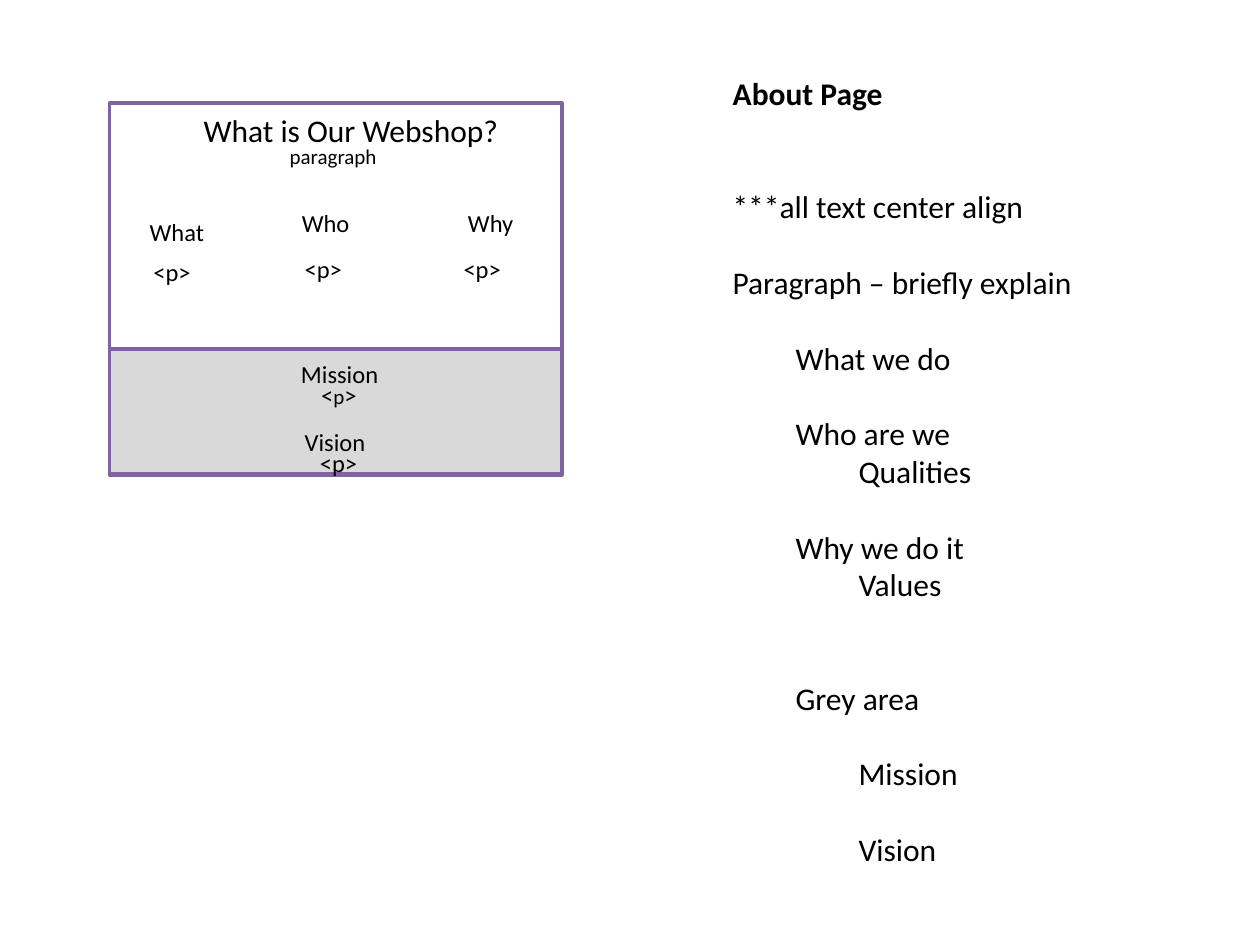
from pptx import Presentation
from pptx.dml.color import RGBColor
from pptx.enum.shapes import MSO_SHAPE
from pptx.enum.text import MSO_ANCHOR, MSO_AUTO_SIZE, PP_ALIGN
from pptx.util import Pt

# Content: wireframe panels as (left, top, width, height, fill)
PANELS = [
    (62.6, 59, 258.5, 212.4, "FFFFFF"),
    (62.6, 199.4, 258.5, 71.3, "D9D9D9"),
]
# Centred labels: (text, left, top, width, height, size)
CENTRED_LABELS = [
    ("What is Our Webshop?", 99.4, 59.8, 202.3, 29, 18),
    ("paragraph", 131, 78.5, 118.8, 21.6, 12),
    ("What", 55.4, 120.2, 91.4, 46, 14),
    ("Who", 140.4, 115.2, 91.4, 51, 14),
    ("Why", 231.8, 115.2, 97.2, 51, 14),
]
# Labels that do not wrap: (spans of text and size, left, top, width)
TIGHT_LABELS = [
    ([("<p>", 14)], 80.6, 143.3, 36),
    ([("<p>", 14)], 167, 141.8, 36),
    ([("<p>", 14)], 257.8, 141.8, 36),
    ([("Mission", 14)], 164.9, 201.6, 59),
    ([("<", 14), ("p", 12), (">", 14)], 176.4, 213.8, 35.3),
    ([("Vision", 14)], 167, 240.5, 49.7),
    ([("<p>", 14)], 175.7, 252.7, 36),
]
TITLE = "About Page"
# Notes: (text, indent level, empty lines above)
NOTES = [
    ("***all text center align", 0, 0),
    ("Paragraph – briefly explain", 0, 1),
    ("What we do", 1, 1),
    ("Who are we", 1, 1),
    ("Qualities", 2, 0),
    ("Why we do it", 1, 1),
    ("Values", 2, 0),
    ("Grey area", 1, 2),
    ("Mission", 2, 1),
    ("Vision", 2, 1),
]
NOTES_LEFT, NOTES_TOP, NOTES_WIDTH = 411.5, 38.7, 300
LINE_HEIGHT, INDENT = 21.6, 36


def color(code):
    return RGBColor.from_string(code)


def write(para, text, size=18, bold=False, ink="000000", align=PP_ALIGN.LEFT):
    para.alignment = align
    span = para.add_run()
    span.text = text
    span.font.name = "Calibri"
    span.font.size = Pt(size)
    span.font.bold = bold
    span.font.color.rgb = color(ink)


def set_frame(box, wrap=True):
    frame = box.text_frame
    frame.word_wrap = wrap
    frame.auto_size = MSO_AUTO_SIZE.NONE
    frame.vertical_anchor = MSO_ANCHOR.TOP
    return frame


def add_box(page, left, top, width, height, wrap=True):
    box = page.shapes.add_textbox(Pt(left), Pt(top), Pt(width), Pt(height))
    return set_frame(box, wrap)


def main():
    deck = Presentation()
    deck.slide_width, deck.slide_height = Pt(720), Pt(540)
    page = deck.slides.add_slide(deck.slide_layouts[5])

    # Wireframe panels
    for left, top, width, height, fill in PANELS:
        panel = page.shapes.add_shape(
            MSO_SHAPE.RECTANGLE, Pt(left), Pt(top), Pt(width), Pt(height))
        panel.shadow.inherit = False
        panel.fill.solid()
        panel.fill.fore_color.rgb = color(fill)
        panel.line.color.rgb = color("8064A2")
        panel.line.width = Pt(2)

    # Wireframe labels
    for text, left, top, width, height, size in CENTRED_LABELS:
        frame = add_box(page, left, top, width, height)
        write(frame.paragraphs[0], text, size=size, align=PP_ALIGN.CENTER)
    for spans, left, top, width in TIGHT_LABELS:
        frame = add_box(page, left, top, width, 24.5, wrap=False)
        for text, size in spans:
            write(frame.paragraphs[0], text, size=size)

    # Title
    title = page.shapes.title
    title.left, title.top = Pt(NOTES_LEFT), Pt(NOTES_TOP)
    title.width, title.height = Pt(NOTES_WIDTH), Pt(29)
    write(set_frame(title).paragraphs[0], TITLE, bold=True)

    # Notes, three lines below the title
    frame = add_box(page, NOTES_LEFT, NOTES_TOP + 3 * LINE_HEIGHT, NOTES_WIDTH, 423)
    for index, (text, level, gap) in enumerate(NOTES):
        para = frame.add_paragraph() if index else frame.paragraphs[0]
        para.space_before = Pt(gap * LINE_HEIGHT)
        write(para, text)
        para._p.get_or_add_pPr().set("marL", str(Pt(level * INDENT)))

    deck.save("out.pptx")


if __name__ == "__main__":
    main()
